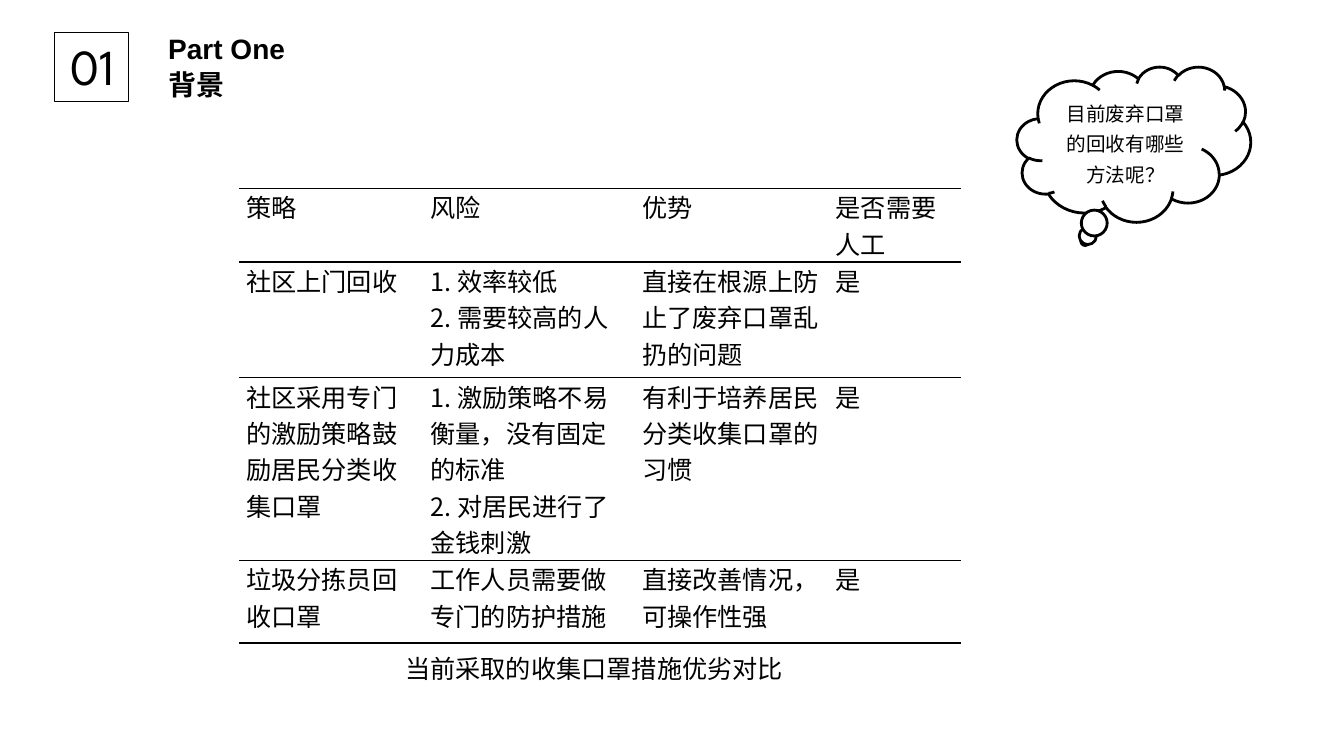
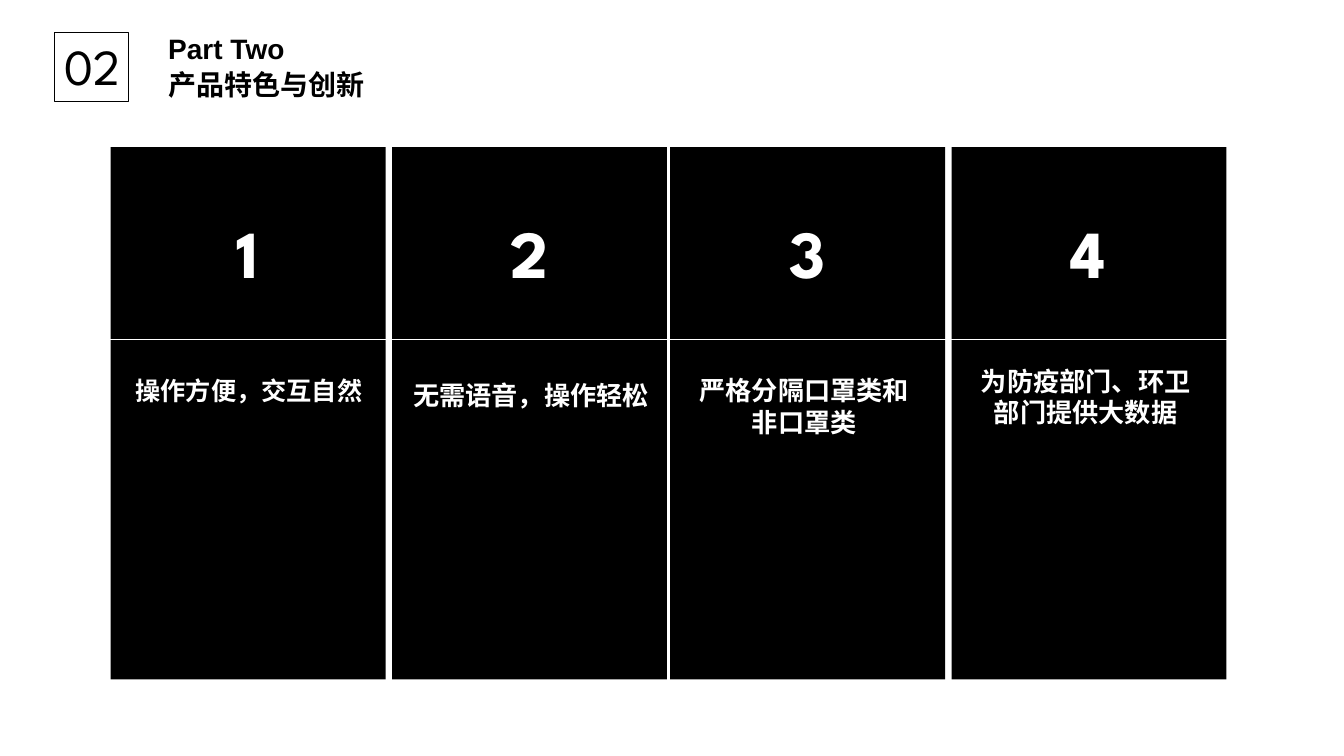
from lxml import etree
from pptx import Presentation
from pptx.dml.color import RGBColor
from pptx.enum.shapes import MSO_CONNECTOR as CONN, MSO_SHAPE as SHAPE
from pptx.enum.text import MSO_ANCHOR as ANCHOR, PP_ALIGN as ALIGN
from pptx.oxml import parse_xml
from pptx.oxml.ns import nsdecls, qn
from pptx.util import Cm, Pt

BLACK, WHITE = "000000", "FFFFFF"
DISPLAY, CJK = "League Spartan", "Noto Sans CJK SC"
NO_STYLE = "{2D5ABB26-0587-4C30-8999-92F81FD0307C}"


def rgb(value):
    return RGBColor.from_string(value)


def write(tf, paragraphs, size, font, color=BLACK, bold=False, align=ALIGN.LEFT, spacing=None, before=0):
    tf.word_wrap = True
    for i, text in enumerate(paragraphs):
        p = tf.paragraphs[0] if i == 0 else tf.add_paragraph()
        p.alignment = align
        if spacing:
            p.line_spacing = spacing
        if i and before:
            p.space_before = Pt(before)
        r = p.add_run()
        r.text = text
        r.font.size = Pt(size)
        r.font.name = font
        r.font.bold = bold
        r.font.color.rgb = rgb(color)
        etree.SubElement(r.font._element, qn("a:ea")).set("typeface", CJK)


prs = Presentation()
prs.slide_width, prs.slide_height = Cm(33.87), Cm(19.05)

slides = []
for number, part, title in [("01", "Part One", "背景"), ("02", "Part Two", "产品特色与创新")]:
    s = prs.slides.add_slide(prs.slide_layouts[6])
    frame = s.shapes.add_shape(SHAPE.RECTANGLE, Cm(1.37), Cm(0.81), Cm(1.86), Cm(1.75))
    frame.shadow.inherit = False
    frame.fill.background()
    frame.line.color.rgb = rgb(BLACK)
    frame.line.width = Pt(0.75)
    box = s.shapes.add_textbox(Cm(3.99), Cm(0.66), Cm(10.52), Cm(2.08))
    write(box.text_frame, [part, title], 20, "Arial", bold=True, before=2)
    box = s.shapes.add_textbox(Cm(1.24), Cm(0.76), Cm(2.21), Cm(1.9))
    write(box.text_frame, [number], 36, DISPLAY, align=ALIGN.CENTER)
    slides.append(s)

background, features = slides

cloud = background.shapes.add_shape(SHAPE.CLOUD_CALLOUT, Cm(25.63), Cm(1.68), Cm(5.89), Cm(3.91))
cloud.shadow.inherit = False
cloud.fill.solid()
cloud.fill.fore_color.rgb = rgb(WHITE)
cloud.line.color.rgb = rgb(BLACK)
cloud.line.width = Pt(2)
cloud.text_frame.vertical_anchor = ANCHOR.MIDDLE
write(cloud.text_frame, ["目前废弃口罩的回收有哪些方法呢？"], 14, CJK, align=ALIGN.CENTER, spacing=1.3)

col_widths = [4.65, 5.33, 4.88, 3.33]
row_heights = [1.85, 2.92, 4.6, 2.08]
rows = [
    [["策略"], ["风险"], ["优势"], ["是否需要人工"]],
    [["社区上门回收"], ["1. 效率较低", "2. 需要较高的人力成本"],
     ["直接在根源上防止了废弃口罩乱扔的问题"], ["是"]],
    [["社区采用专门的激励策略鼓励居民分类收集口罩"],
     ["1. 激励策略不易衡量，没有固定的标准", "2. 对居民进行了金钱刺激"],
     ["有利于培养居民分类收集口罩的习惯"], ["是"]],
    [["垃圾分拣员回收口罩"], ["工作人员需要做专门的防护措施"],
     ["直接改善情况，可操作性强"], ["是"]],
]
table = background.shapes.add_table(
    len(rows), len(col_widths), Cm(6.02), Cm(4.75), Cm(sum(col_widths)), Cm(sum(row_heights))).table
table._tbl.tblPr.find(qn("a:tableStyleId")).text = NO_STYLE
table.first_row = table.horz_banding = False
for column, width in zip(table.columns, col_widths):
    column.width = Cm(width)
for i, row in enumerate(rows):
    table.rows[i].height = Cm(row_heights[i])
    for j, paragraphs in enumerate(row):
        cell = table.cell(i, j)
        cell.margin_left = cell.margin_right = Cm(0.18)
        cell.margin_top = cell.margin_bottom = 0
        font = CJK if len(paragraphs) > 1 else "Calibri"
        write(cell.text_frame, paragraphs, 18, font)
        bottom = Pt(1.5) if i == len(rows) - 1 else Pt(1)
        for tag, width in [("lnT", Pt(1)), ("lnB", bottom)]:
            cell._tc.get_or_add_tcPr().append(parse_xml(
                f'<a:{tag} {nsdecls("a")} w="{width}"><a:solidFill>'
                f'<a:srgbClr val="{BLACK}"/></a:solidFill></a:{tag}>'))
        cell.fill.background()

caption = background.shapes.add_textbox(Cm(9.96), Cm(16.33), Cm(10.41), Cm(1.02))
write(caption.text_frame, ["当前采取的收集口罩措施优劣对比"], 18, DISPLAY)

cards = [
    (2.79, "操作方便，交互自然", 18, 2, (2.95, 8.56, 6.65, 6.05)),
    (9.88, "无需语音，操作轻松", 18.7, 2, (10.03, 8.64, 6.71, 2.41)),
    (16.89, "严格分隔口罩类和非口罩类", 18.7, None, (17.12, 9.32, 6.3, 3.3)),
    (23.98, "为防疫部门、环卫部门提供大数据", 18.7, None, (24.21, 9.07, 6.3, 1.85)),
]
for n, (left, label, size, spacing, place) in enumerate(cards, 1):
    card = features.shapes.add_shape(SHAPE.RECTANGLE, Cm(left), Cm(3.71), Cm(6.93), Cm(13.41))
    card.shadow.inherit = False
    card.fill.solid()
    card.fill.fore_color.rgb = rgb(BLACK)
    card.line.fill.background()
    box = features.shapes.add_textbox(*map(Cm, place))
    write(box.text_frame, [label], size, DISPLAY, WHITE, True, ALIGN.CENTER, spacing)
    box = features.shapes.add_textbox(Cm(left + 2.72), Cm(5.21), Cm(1.47), Cm(2.31))
    write(box.text_frame, [str(n)], 48, DISPLAY, WHITE, True, ALIGN.CENTER)

divider = features.shapes.add_connector(CONN.STRAIGHT, Cm(2.21), Cm(8.56), Cm(31.27), Cm(8.56))
divider.line.color.rgb = rgb(WHITE)
divider.line.width = Pt(0.75)
etree.SubElement(divider._element.spPr, qn("a:effectLst"))

prs.save("out.pptx")
